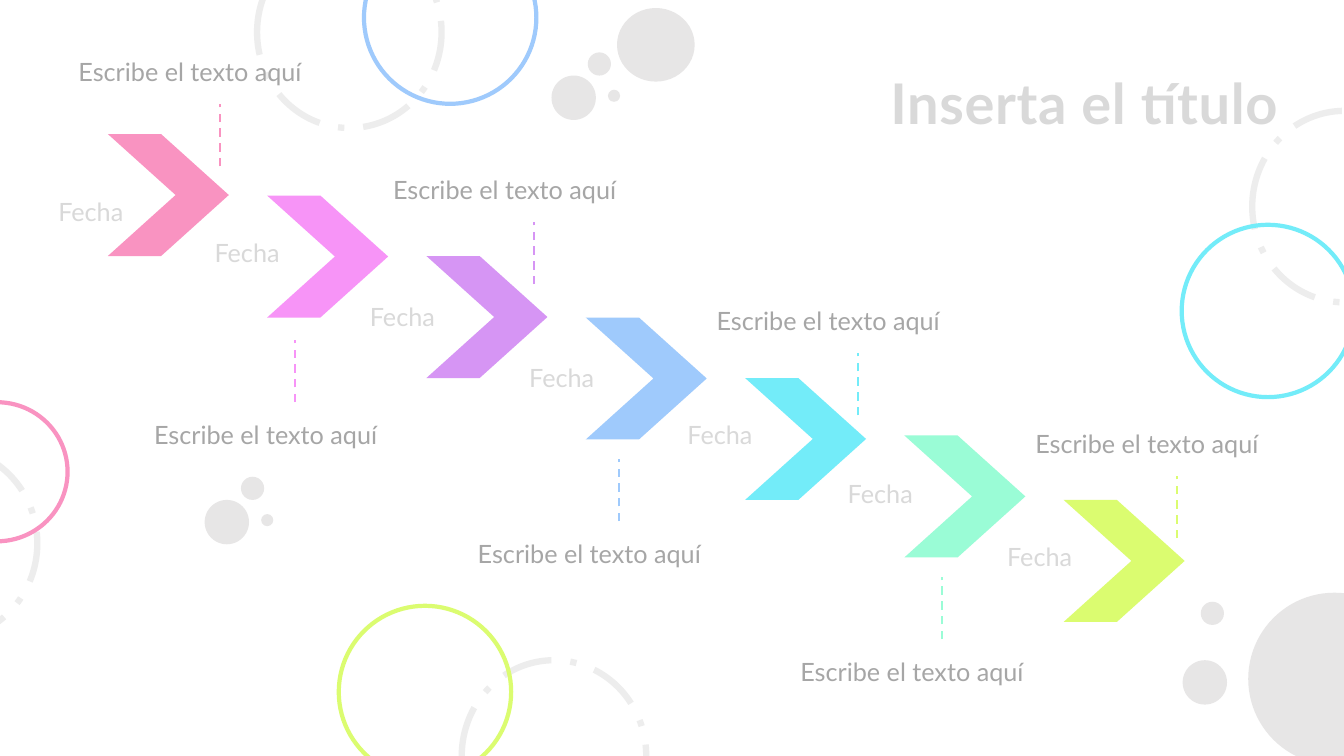
from dataclasses import dataclass

from lxml import etree
from pptx import Presentation
from pptx.dml.color import RGBColor
from pptx.enum.dml import MSO_LINE
from pptx.enum.shapes import MSO_CONNECTOR, MSO_SHAPE
from pptx.enum.text import MSO_ANCHOR, MSO_AUTO_SIZE, PP_ALIGN
from pptx.oxml.ns import qn
from pptx.util import Inches, Pt

CHEVRON, OVAL = MSO_SHAPE.CHEVRON, MSO_SHAPE.OVAL
STRAIGHT = MSO_CONNECTOR.STRAIGHT
DASH, DASH_DOT = MSO_LINE.DASH, MSO_LINE.LONG_DASH_DOT
TITLE_ONLY = 5
CELL = Inches(0.1)  # one column or row of the slide grid


@dataclass(frozen=True)
class Theme:
    font: str = "Lato"
    title_size: int = 40
    text_size: int = 18
    light: str = "D9D9D9"
    dark: str = "A6A6A6"
    bubble: str = "E7E6E6"
    orbit: str = "EDEDED"
    pink: str = "F993C1"
    magenta: str = "F794F7"
    purple: str = "D695F4"
    blue: str = "9FCAFC"
    cyan: str = "73ECF9"
    mint: str = "9AFCD6"
    lime: str = "DBFC70"


T = Theme()

# Colour, chevron row, date (column, row), caption (column, row)
STEPS = [
    (T.pink, 8.2, (0, 13.9), (2, 0)),
    (T.magenta, 14.3, (15.5, 18), (9.5, 36)),
    (T.purple, 20.3, (30.9, 24.3), (33.2, 11.7)),
    (T.blue, 26.4, (46.7, 30.4), (41.6, 47.8)),
    (T.cyan, 32.4, (62.4, 36), (65.3, 24.7)),
    (T.mint, 38.1, (78.3, 41.9), (73.6, 59.5)),
    (T.lime, 44.5, (94.1, 48.1), (96.9, 36.9)),
]


def cells(*lengths):
    return [round(n * CELL) for n in lengths]


def add_shape(s, kind, box, fill=None, line=None, width=3, dash=None):
    sp = s.shapes.add_shape(kind, *cells(*box))
    sp.shadow.inherit = False
    if fill:
        sp.fill.solid()
        sp.fill.fore_color.rgb = RGBColor.from_string(fill)
    else:
        sp.fill.background()
    if line:
        sp.line.color.rgb = RGBColor.from_string(line)
        sp.line.width = Pt(width)
        if dash:
            sp.line.dash_style = dash
    else:
        sp.line.fill.background()
    return sp


def add_run(p, text, size, color, bold=False):
    r = p.add_run()
    r.text = text
    r.font.name = T.font
    r.font.size = Pt(size)
    r.font.bold = bold
    r.font.color.rgb = RGBColor.from_string(color)
    return r


def add_label(s, box, text, color):
    tf = s.shapes.add_textbox(*cells(*box)).text_frame
    tf.word_wrap = False
    tf.auto_size = MSO_AUTO_SIZE.SHAPE_TO_FIT_TEXT
    add_run(tf.paragraphs[0], text, T.text_size, color)


def add_leader(s, x, top, bottom, color):
    c = s.shapes.add_connector(STRAIGHT, *cells(x, bottom, x, top))
    c.line.color.rgb = RGBColor.from_string(color)
    c.line.width = Pt(1.5)
    c.line.dash_style = DASH
    etree.SubElement(c._element.spPr, qn("a:effectLst"))


def bubble_cluster(s, x, y):
    """Three bubbles placed around the largest one."""
    for dx, dy, size in [(0, 0, 4.4), (3.6, -2.3, 2.3), (5.6, 1.4, 1.2)]:
        add_shape(s, OVAL, (x + dx, y + dy, size, size), fill=T.bubble)


def decoration(s):
    # Dashed orbits
    for x, y in [(124.2, 11), (-14.6, 44.4), (25.5, -6.3), (45.8, 65.5)]:
        add_shape(s, OVAL, (x, y, 18.3, 19), line=T.orbit, width=4.5, dash=DASH_DOT)
    # Coloured rings
    for x, y, w, h, color in [
        (117.2, 22.3, 17.1, 17.1, T.cyan),
        (-7.3, 39.9, 14, 13.8, T.pink),
        (33.6, 60.1, 17.1, 17.1, T.lime),
        (36.1, -6.8, 17.1, 17.1, T.blue),
    ]:
        add_shape(s, OVAL, (x, y, w, h), line=color)
    # Grey bubbles
    bubble_cluster(s, 20.3, 49.6)
    bubble_cluster(s, 54.7, 7.5)
    for box in [
        (61.2, 0.8, 7.7, 7.3),
        (117.3, 65.5, 4.4, 4.4),
        (119.1, 59.7, 2.3, 2.3),
        (123.8, 58.8, 17.1, 17.1),
    ]:
        add_shape(s, OVAL, box, fill=T.bubble)


def title(s, box):
    sp = s.shapes.title
    sp.left, sp.top, sp.width, sp.height = cells(*box)
    tf = sp.text_frame
    tf.word_wrap = True
    tf.auto_size = MSO_AUTO_SIZE.SHAPE_TO_FIT_TEXT
    tf.vertical_anchor = MSO_ANCHOR.TOP
    p = tf.paragraphs[0]
    p.alignment = PP_ALIGN.RIGHT
    r = add_run(p, "Inserta el título", T.title_size, T.light, bold=True)
    r.font._element.set("spc", "50")


def timeline(s, left, top):
    for i, (color, row, date, caption) in enumerate(STEPS):
        # Chevron
        box = (left + 5.9 + 15.8 * i, top + row, 12, 12.1)
        sp = add_shape(s, CHEVRON, box, fill=color)
        sp.adjustments[0] = 0.56
        # Date and caption
        add_label(s, (left + date[0], top + date[1], 9.6, 4), "Fecha", T.light)
        x, y = left + caption[0], top + caption[1]
        add_label(s, (x, y, 30, 4), "Escribe el texto aquí", T.dark)
        # Leader: below captions over the chevron, above the others
        start = y + 5.2 if i % 2 == 0 else y - 7.4
        add_leader(s, x + 15, start, start + 6.2, color)


def main():
    prs = Presentation()
    prs.slide_width, prs.slide_height = Inches(13.33), Inches(7.5)
    s = prs.slides.add_slide(prs.slide_layouts[TITLE_ONLY])
    decoration(s)
    title(s, (58.9, 6.3, 68.9, 7.7))
    timeline(s, 4.8, 5.1)
    prs.save("out.pptx")


if __name__ == "__main__":
    main()
